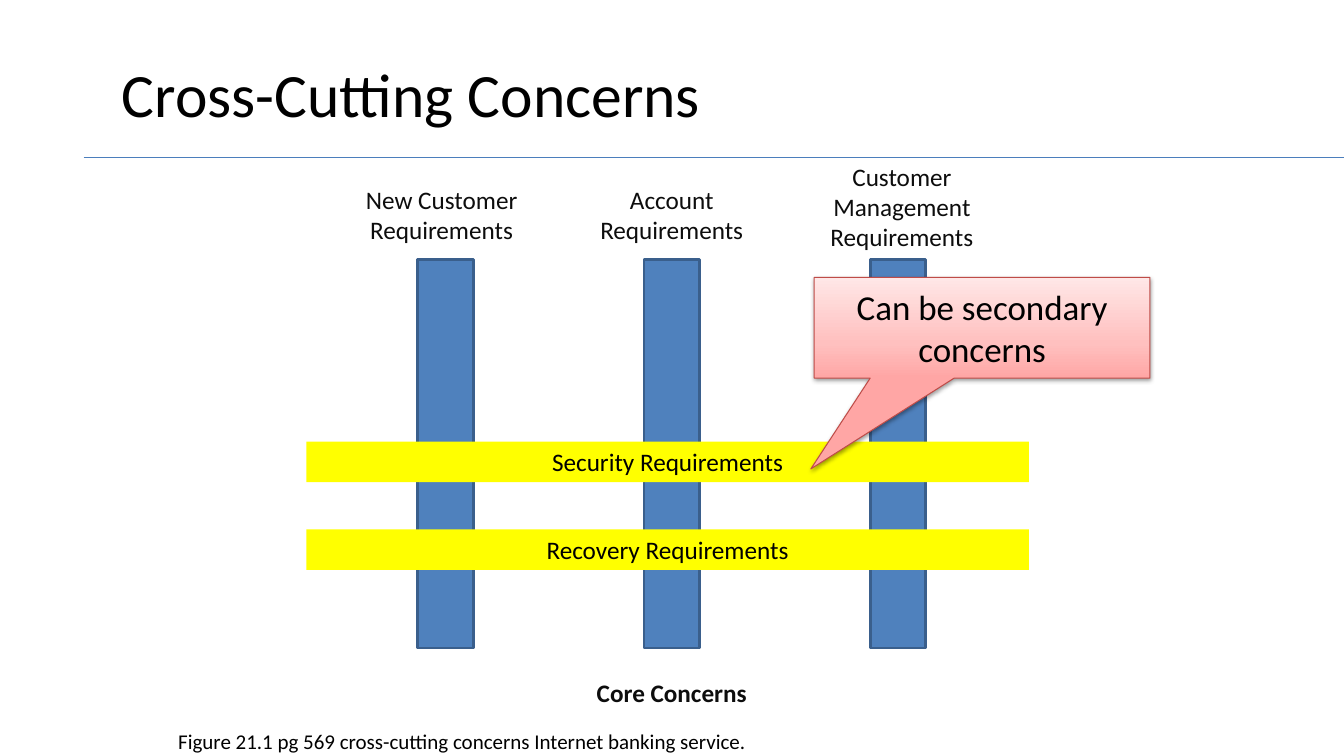
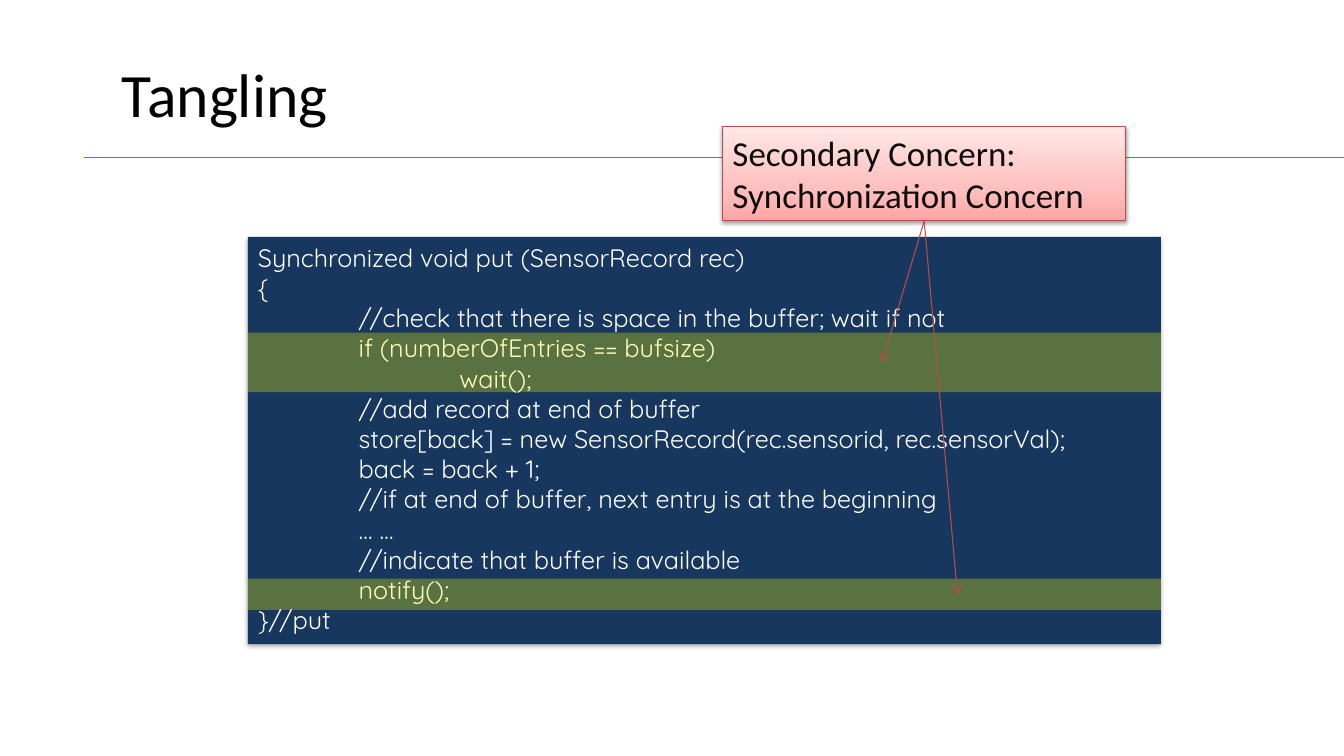
"""Build two slides on cross-cutting concerns and tangling."""
from lxml.etree import SubElement
from pptx import Presentation
from pptx.dml.color import RGBColor
from pptx.enum.shapes import MSO_CONNECTOR, MSO_SHAPE
from pptx.enum.text import MSO_ANCHOR, PP_ALIGN
from pptx.oxml.ns import qn
from pptx.util import Cm, Pt

COLORS = {
    "black": "000000",
    "label": "0D0D0D",
    "white": "FFFFFF",
    "rule": "4B7EBC",
    "pillar": "4F81BD",
    "pillar_edge": "3A5F8C",
    "yellow": "FFFF00",
    "code": "17375E",
    "note_edge": "BF4C48",
}
NOTE_STOPS = [(0, "FFA6A5"), (35, "FFC0BF"), (100, "FFE7E7")]
NOTE = {"fill": NOTE_STOPS, "line": ("note_edge", 0.75), "shadow": (38, 1.6), "size": 25}


def add_box(s, kind, box, fill=None, line=None, shadow=None, lines=(), size=18,
            color="black", font="Calibri", align=PP_ALIGN.CENTER, bold=False):
    """Add a shape, or a text box when kind is None; lines are (indent level, text)."""
    pos = [Cm(v) for v in box]
    sp = s.shapes.add_shape(kind, *pos) if kind else s.shapes.add_textbox(*pos)
    if kind:
        sp.shadow.inherit = False
    if isinstance(fill, list):
        sp.fill.gradient()
        sp.fill.gradient_angle = 90
        stops = sp._element.spPr.find(f"{qn('a:gradFill')}/{qn('a:gsLst')}")
        for old in list(stops):
            stops.remove(old)
        for percent, value in fill:
            gs = SubElement(stops, qn("a:gs"), pos=str(percent * 1000))
            SubElement(gs, qn("a:srgbClr"), val=value)
    elif fill:
        sp.fill.solid()
        sp.fill.fore_color.rgb = RGBColor.from_string(COLORS[fill])
    if line:
        sp.line.color.rgb = RGBColor.from_string(COLORS[line[0]])
        sp.line.width = Pt(line[1])
    else:
        sp.line.fill.background()
    if shadow:
        alpha, dist = shadow
        effects = sp._element.spPr.find(qn("a:effectLst"))
        outer = SubElement(effects, qn("a:outerShdw"), blurRad=str(Pt(3.1)),
                           dist=str(Pt(dist)), dir="5400000", rotWithShape="0")
        shade = SubElement(outer, qn("a:srgbClr"), val=COLORS["black"])
        SubElement(shade, qn("a:alpha"), val=str(alpha * 1000))
    tf = sp.text_frame
    tf.word_wrap = True
    for i, (level, text) in enumerate(lines):
        p = tf.add_paragraph() if i else tf.paragraphs[0]
        p.text = text
        p.alignment = align
        p.font.name = font
        p.font.size = Pt(size)
        p.font.bold = bold
        p.font.color.rgb = RGBColor.from_string(COLORS[color])
        if level:
            p._p.get_or_add_pPr().set("marL", str(Cm(2.54 * level)))
    return sp


def add_line(s, start, end, color, arrow=False):
    """Add a thin straight connector, with an open arrowhead at its end if asked."""
    cx = s.shapes.add_connector(MSO_CONNECTOR.STRAIGHT, *[Cm(v) for v in start + end])
    cx.line.color.rgb = RGBColor.from_string(COLORS[color])
    cx.line.width = Pt(0.75)
    if arrow:
        SubElement(cx.line._get_or_add_ln(), qn("a:tailEnd"), type="arrow")
    SubElement(cx._element.spPr, qn("a:effectLst"))
    return cx


prs = Presentation()
prs.slide_width, prs.slide_height = Cm(33.87), Cm(19.05)

layout = prs.slide_layouts.get_by_name("Title Only")
title = layout.placeholders[0]
title.left, title.top, title.width, title.height = Cm(2.82), Cm(0.76), Cm(29.92), Cm(3.18)
title_style = prs.slide_master.element.find(f".//{qn('p:titleStyle')}/{qn('a:lvl1pPr')}")
title_style.set("algn", "l")

s = prs.slides.add_slide(layout)
s.shapes.title.text = "Cross-Cutting Concerns"
rule = add_line(s, (2.11, 3.96), (33.87, 3.96), "rule")
layout.shapes.element.append(rule._element)

for i in range(3):
    add_box(s, MSO_SHAPE.RECTANGLE, (10.53 + 5.7 * i, 6.53, 1.4, 9.8),
            fill="pillar", line=("pillar_edge", 2))

for top, text in [(11.13, "Security Requirements"), (13.34, "Recovery Requirements")]:
    add_box(s, MSO_SHAPE.RECTANGLE, (7.72, top, 18.21, 1.02), fill="yellow", lines=[(0, text)])

labels = [
    ("New Customer Requirements", 4.52, 1.8),
    ("Account Requirements", 4.52, 1.8),
    ("Customer Management Requirements", 3.94, 2.57),
]
for i, (text, top, height) in enumerate(labels):
    add_box(s, None, (8.53 + 5.8 * i, top, 5.2, height), lines=[(0, text)], color="label")
add_box(s, None, (14.33, 16.94, 5.2, 1.02), lines=[(0, "Core Concerns")],
        color="label", bold=True)
add_box(s, None, (4.24, 18.24, 21.69, 0.89), size=15, align=PP_ALIGN.LEFT,
        lines=[(0, "Figure 21.1 pg 569 cross-cutting concerns Internet banking service.")])

callout = add_box(s, MSO_SHAPE.RECTANGULAR_CALLOUT, (20.52, 6.99, 8.46, 2.54),
                  lines=[(0, "Can be secondary concerns")], **NOTE)
callout.adjustments[0] = -0.51
callout.adjustments[1] = 1.4

s = prs.slides.add_slide(layout)
s.shapes.title.text = "Tangling"

code = [
    (0, "Synchronized void put (SensorRecord rec)"),
    (0, "{"),
    (1, "//check that there is space in the buffer; wait if not"),
    (1, "if (numberOfEntries == bufsize)"),
    (2, "wait();"),
    (1, "//add record at end of buffer"),
    (1, "store[back] = new SensorRecord(rec.sensorid, rec.sensorVal);"),
    (1, "back = back + 1;"),
    (1, "//if at end of buffer, next entry is at the beginning"),
    (1, "… …"),
    (1, "//indicate that buffer is available"),
    (1, "notify();"),
    (0, "}//put"),
]
listing = add_box(s, MSO_SHAPE.RECTANGLE, (6.25, 5.97, 23.01, 10.26), fill="code",
                  shadow=(35, 1.8), lines=code, color="white", font="Quicksand",
                  align=PP_ALIGN.LEFT)
listing.text_frame.vertical_anchor = MSO_ANCHOR.TOP

for top, height in [(8.38, 1.5), (14.58, 0.79)]:
    band = add_box(s, MSO_SHAPE.RECTANGLE, (6.25, top, 23.01, height), fill="yellow")
    tint = band._element.spPr.find(f"{qn('a:solidFill')}/{qn('a:srgbClr')}")
    SubElement(tint, qn("a:alpha"), val="29000")

note = add_box(s, MSO_SHAPE.RECTANGLE, (18.21, 3.18, 10.16, 2.39), color="label",
               lines=[(0, "Secondary Concern: Synchronization Concern")],
               align=PP_ALIGN.LEFT, **NOTE)
for end in [(24.13, 14.99), (22.23, 9.12)]:
    arrow = add_line(s, (23.29, 5.57), end, "note_edge", arrow=True)
    arrow.begin_connect(note, 2)

prs.save("out.pptx")
